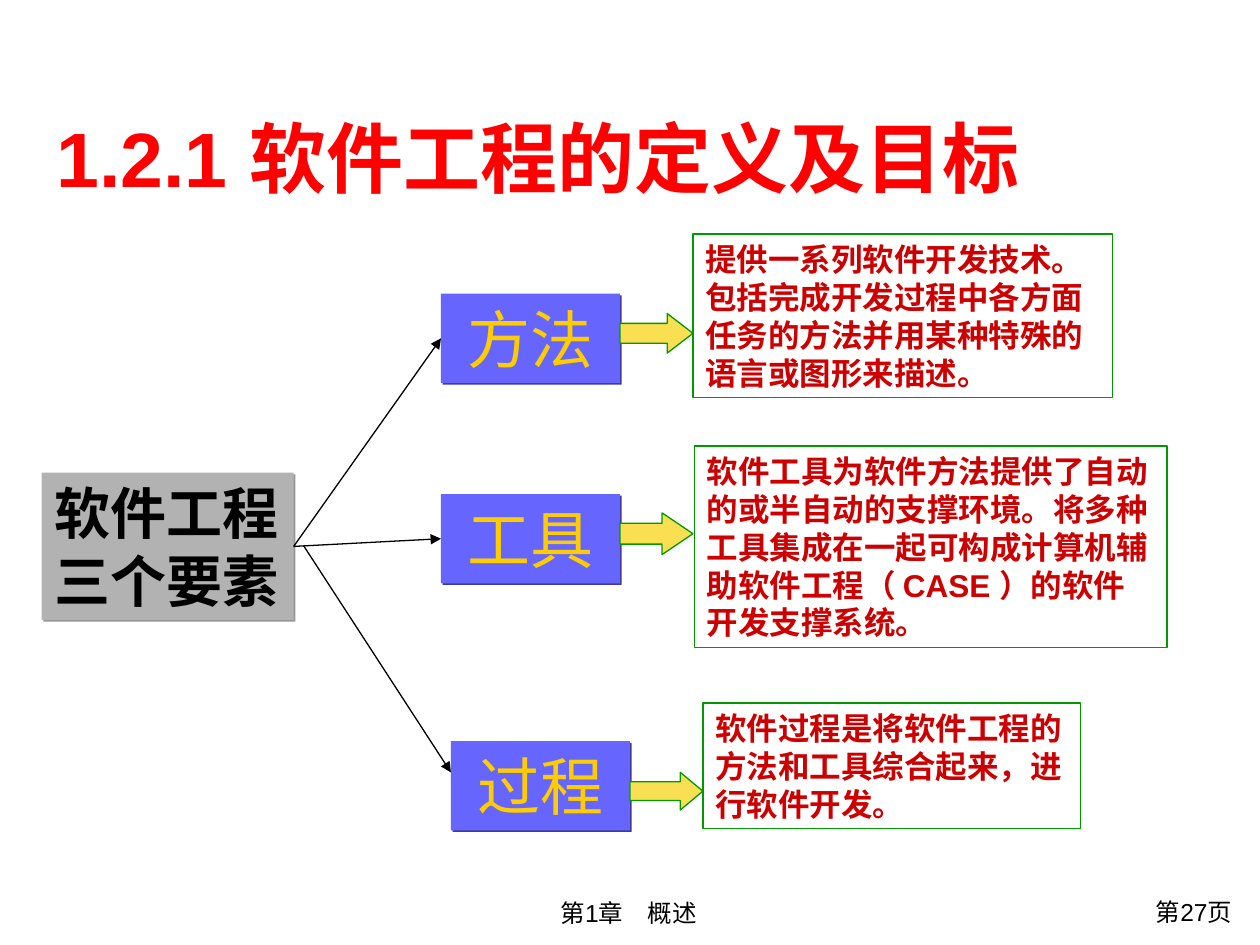
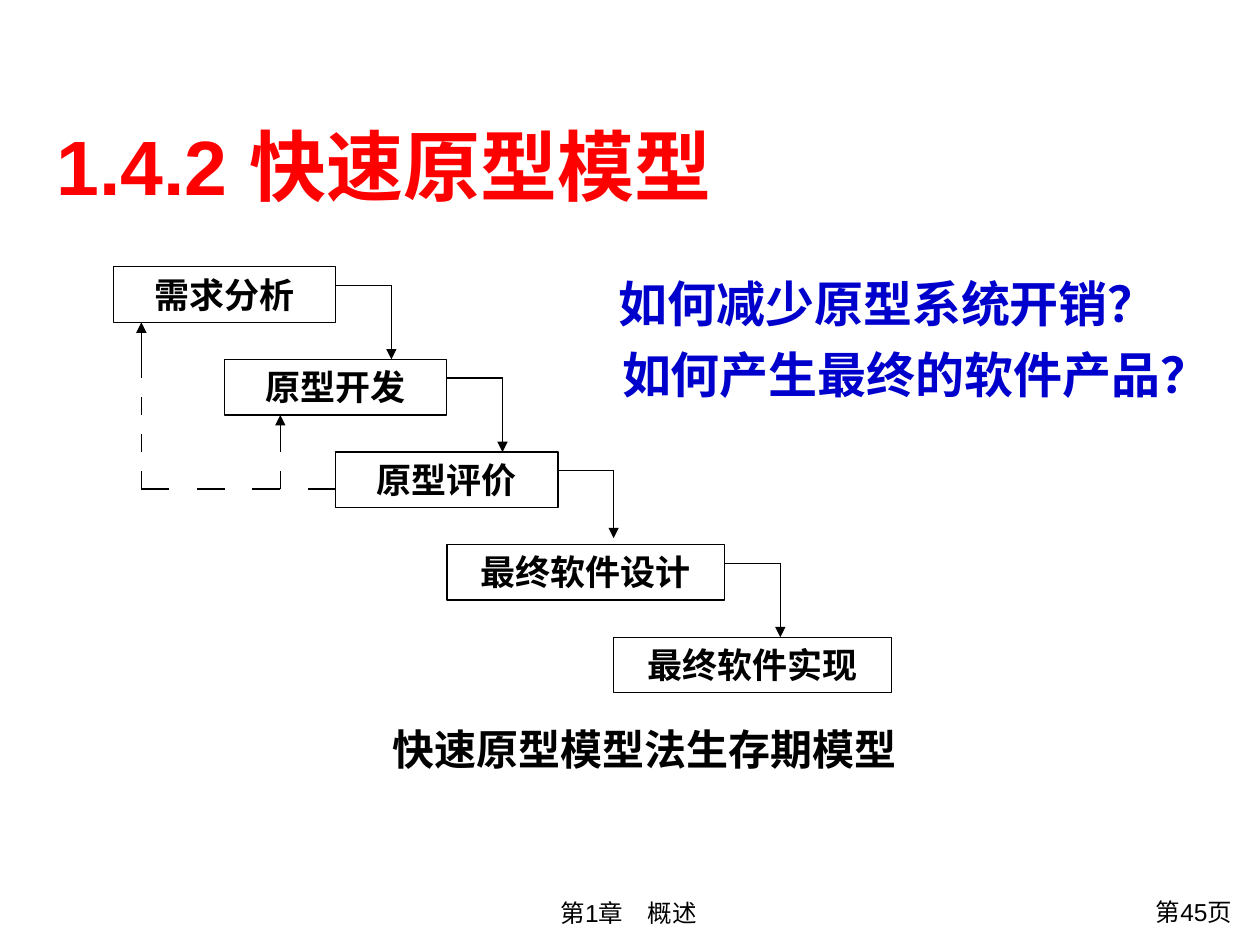
from lxml import etree
from pptx import Presentation
from pptx.dml.color import RGBColor
from pptx.enum import shapes, text
from pptx.oxml.ns import qn
from pptx.util import Cm, Pt

BLACK, RED, CRIMSON, BLUE = "000000", "FF0000", "CC0000", "0000CC"
WHITE, GREY, GREY_SHADE = "FFFFFF", "B2B2B2", "969696"
VIOLET, VIOLET_SHADE, GOLD = "6666FF", "3D3D99", "FFCC00"
GREEN, YELLOW = "009900", "FBDF53"
LEFT, CENTER, RIGHT = text.PP_ALIGN.LEFT, text.PP_ALIGN.CENTER, text.PP_ALIGN.RIGHT
TOP, MIDDLE = text.MSO_ANCHOR.TOP, text.MSO_ANCHOR.MIDDLE


def color(value):
    return RGBColor.from_string(value)


class Deck:
    latin = "Arial"
    east_asian = "Noto Sans CJK SC"
    line_width = 0.75

    def __init__(self):
        self.prs = Presentation()
        self.prs.slide_width, self.prs.slide_height = Cm(25.4), Cm(19.05)
        self.slide = None

    def new_slide(self, title, page, title_anchor=TOP):
        self.slide = self.prs.slides.add_slide(self.prs.slide_layouts[6])
        self.label((5.97, 17.98, 13.41, 0.86), "第1章　概述", 14, align=CENTER)
        self.label((21.69, 17.96, 3.4, 0.94), f"第{page}页", 14, align=RIGHT)
        self.label((0.89, 2.11, 22.86, 2.41), title, 44, RED, True, anchor=title_anchor)

    def put_text(self, frame, content, size, ink=BLACK, bold=False, font=None,
                 align=LEFT, anchor=TOP, wrap=True):
        frame.word_wrap = wrap
        frame.vertical_anchor = anchor
        for index, line in enumerate(content.split("\n")):
            paragraph = frame.add_paragraph() if index else frame.paragraphs[0]
            paragraph.alignment = align
            run = paragraph.add_run()
            run.text = line
            run.font.size, run.font.bold = Pt(size), bold
            run.font.color.rgb = color(ink)
            run.font.name = font or self.latin
            etree.SubElement(run.font._element, qn("a:ea"), typeface=self.east_asian)

    def label(self, area, content, size, ink=BLACK, bold=False, **style):
        holder = self.slide.shapes.add_textbox(*map(Cm, area))
        self.put_text(holder.text_frame, content, size, ink, bold, **style)

    def box(self, area, fill=None, line=None, shade=None,
            kind=shapes.MSO_SHAPE.RECTANGLE):
        shape = self.slide.shapes.add_shape(kind, *map(Cm, area))
        shape.shadow.inherit = False
        if fill:
            shape.fill.solid()
            shape.fill.fore_color.rgb = color(fill)
        else:
            shape.fill.background()
        if line:
            shape.line.color.rgb = color(line)
            shape.line.width = Pt(self.line_width)
        else:
            shape.line.fill.background()
        if shade:
            effects = shape._element.spPr.find(qn("a:effectLst"))
            shadow = etree.SubElement(effects, qn("a:outerShdw"), dist=str(Pt(1.4)),
                                      dir="2700000", algn="ctr", rotWithShape="0")
            etree.SubElement(shadow, qn("a:srgbClr"), val=shade)
        return shape

    def block_arrow(self, area, head):
        arrow = self.box(area, YELLOW, GREEN, kind=shapes.MSO_SHAPE.RIGHT_ARROW)
        arrow.adjustments[0], arrow.adjustments[1] = 0.5, head

    def line(self, start=(0, 0), end=(0, 0), arrow=False, source=None, target=None):
        connector = self.slide.shapes.add_connector(
            shapes.MSO_CONNECTOR.STRAIGHT, *map(Cm, (*start, *end)))
        if source:
            connector.begin_connect(source, 3)
        if target:
            connector.end_connect(target, 1)
        connector.line.color.rgb = color(BLACK)
        connector.line.width = Pt(self.line_width)
        properties = connector._element.spPr
        if arrow:
            etree.SubElement(properties.find(qn("a:ln")), qn("a:tailEnd"),
                             type="triangle")
        etree.SubElement(properties, qn("a:effectLst"))

    def dashes(self, start, step, count):
        (x, y), (dx, dy) = start, step
        for i in range(0, 2 * count, 2):
            self.line((x + i * dx, y + i * dy), (x + (i + 1) * dx, y + (i + 1) * dy))


def build_elements(deck):
    deck.new_slide("1.2.1 软件工程的定义及目标", 27)
    root = deck.box((0.84, 9.53, 5.08, 2.97), GREY, shade=GREY_SHADE)
    deck.put_text(root.text_frame, "软件工程\n三个要素", 32, bold=True)

    width, height, arrow_width = 3.61, 1.8, 1.47
    elements = [
        ("方法", 8.89, 5.92, (6.32, 0.8, 0.65), (13.97, 4.72, 8.46, 3.3),
         "提供一系列软件开发技术。包括完成开发过程中各方面任务的方法并用某种特殊的语言或图形来描述。"),
        ("工具", 8.89, 9.96, (10.34, 0.84, 0.74), (14, 8.99, 9.53, 4.06),
         "软件工具为软件方法提供了自动的或半自动的支撑环境。将多种工具集成在一起可构成计算机辅助软件工程（ CASE ）的软件开发支撑系统。"),
        ("过程", 9.09, 14.94, (15.57, 0.76, 0.6), (14.17, 14.17, 7.62, 2.54),
         "软件过程是将软件工程的方法和工具综合起来，进行软件开发。"),
    ]
    for name, left, top, (arrow_top, arrow_height, head), area, meaning in elements:
        element = deck.box((left, top, width, height), VIOLET, shade=VIOLET_SHADE)
        deck.put_text(element.text_frame, name, 36, GOLD, font="Times New Roman",
                      align=CENTER, anchor=MIDDLE, wrap=False)
        if name == "过程":
            deck.line((6.12, 11), (left, 15.57), arrow=True)
        else:
            deck.line(arrow=True, source=root, target=element)
        explanation = deck.box(area, line=GREEN)
        deck.put_text(explanation.text_frame, meaning, 18, CRIMSON, True)
        deck.block_arrow((left + width, arrow_top, arrow_width, arrow_height), head)


def build_prototype(deck):
    deck.new_slide("1.4.2 快速原型模型", 45, MIDDLE)
    first_left, first_top, height = 2.29, 5.38, 1.12
    col, row = height / 2, height / 3
    stages = [("需求分析", 8, 0), ("原型开发", 8, 0), ("原型评价", 8, 0.13),
              ("最终软件设计", 10, 0), ("最终软件实现", 10, None)]
    left, top = first_left, first_top
    for name, columns, gap in stages:
        stage = deck.box((left, top, columns * col, height), WHITE, BLACK)
        deck.put_text(stage.text_frame, name, 20, bold=True, font="Calibri", align=CENTER)
        right, next_top = left + columns * col, top + 5 * row
        if gap is not None:
            corner = right + 2 * col, top + row
            deck.line((right, top + row), corner)
            deck.line(corner, (corner[0], next_top - gap), arrow=True)
        left, top = right - 4 * col, next_top

    feedback_y = first_top + 12 * row
    deck.dashes((first_left + 8 * col, feedback_y), (-col, 0), 4)
    for columns, count, tail, tip in [(1, 4, 5, 3), (6, 2, 9, 8)]:
        x = first_left + columns * col
        deck.dashes((x, feedback_y), (0, -row), count)
        deck.line((x, first_top + tail * row), (x, first_top + tip * row), arrow=True)

    deck.label((7.67, 14.45, 10.67, 1.27), "快速原型模型法生存期模型", 24, bold=True,
               font=deck.east_asian, anchor=MIDDLE, wrap=False)
    deck.label((12.22, 5.38, 11.68, 1.45), "如何减少原型系统开销？", 28, BLUE, True)
    deck.label((12.29, 6.83, 11.61, 1.45), "如何产生最终的软件产品？", 28, BLUE, True)


def main():
    deck = Deck()
    build_elements(deck)
    build_prototype(deck)
    deck.prs.save("out.pptx")


if __name__ == "__main__":
    main()
